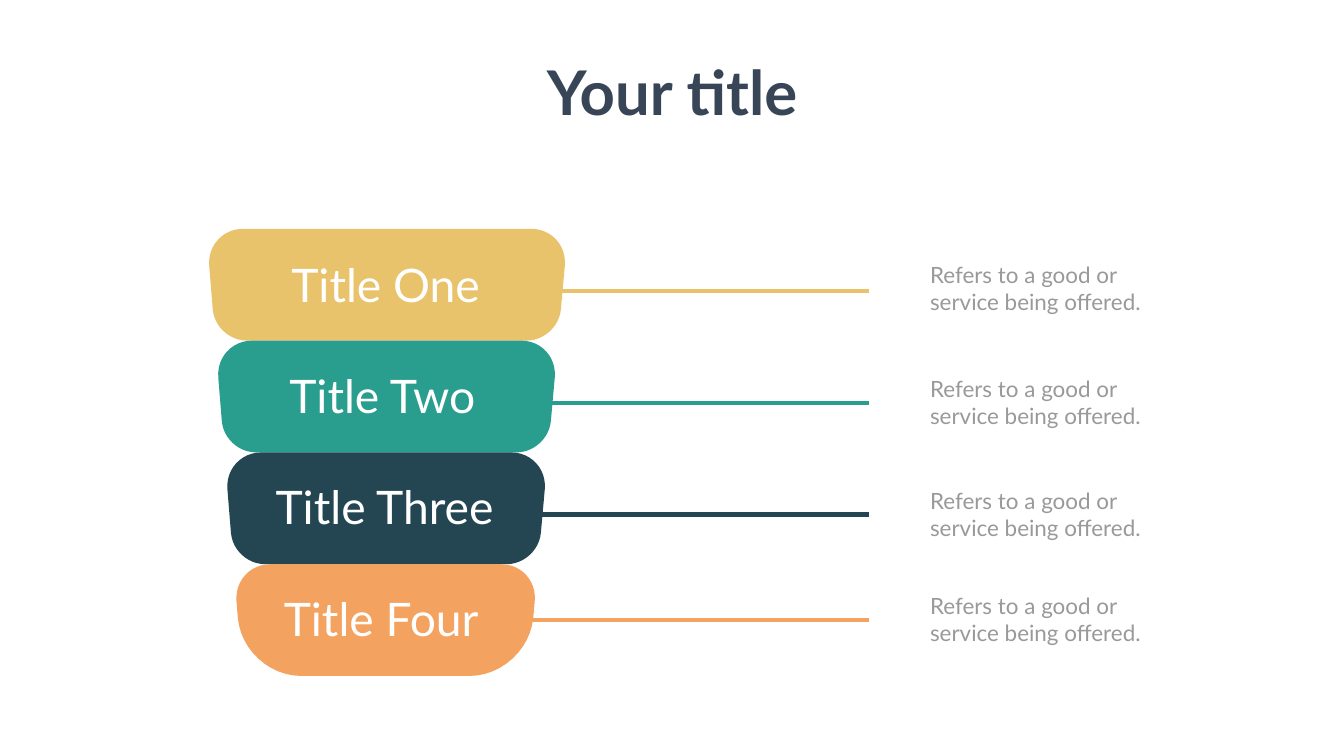
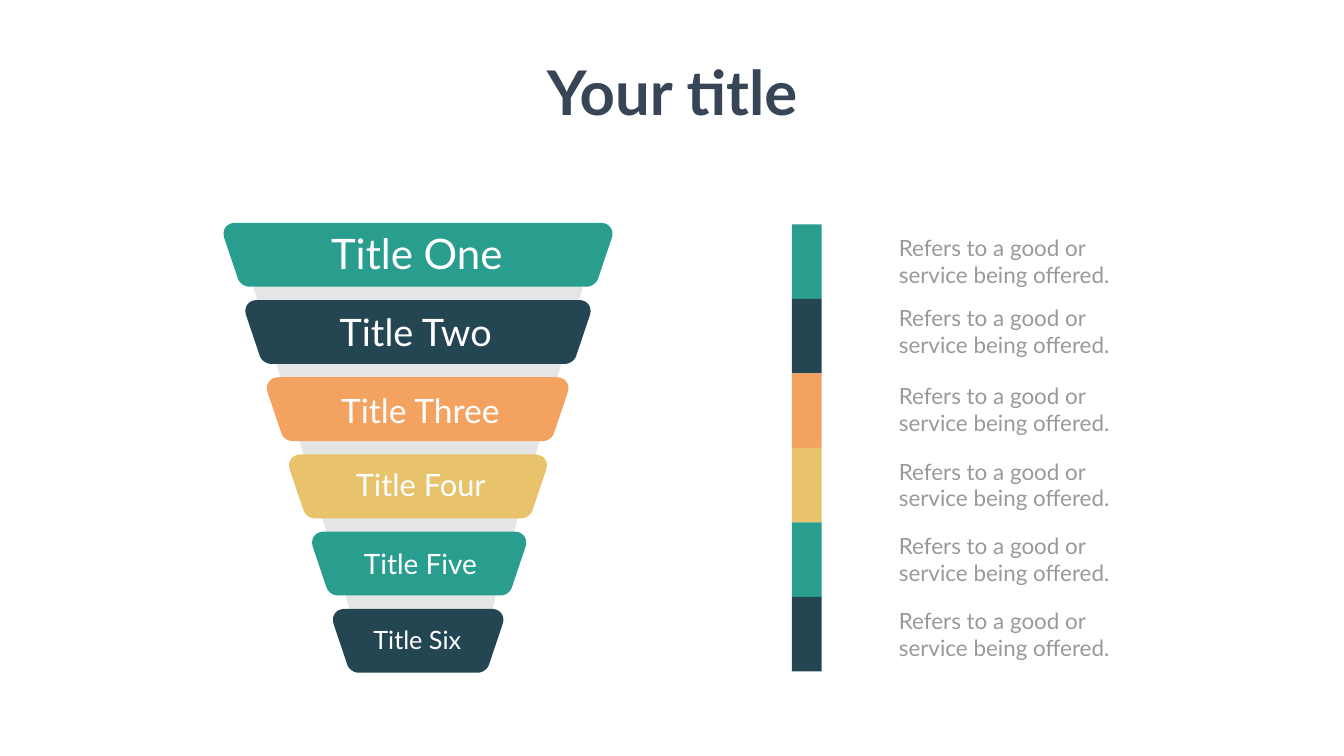
from dataclasses import dataclass
from math import dist

from lxml.etree import SubElement
from pptx import Presentation
from pptx.dml.color import RGBColor as RGB
from pptx.enum.shapes import MSO_CONNECTOR as Connector, MSO_SHAPE as Preset
from pptx.enum.text import MSO_ANCHOR as Anchor, MSO_AUTO_SIZE as AutoSize, PP_ALIGN as Align
from pptx.oxml.ns import qn
from pptx.util import Pt


@dataclass(frozen=True)
class Theme:
    font: str = "Lato"
    page: RGB = RGB(0xFE, 0xFF, 0xFE)
    heading: RGB = RGB(0x37, 0x45, 0x56)
    note: RGB = RGB(0x99, 0x99, 0x99)
    label: RGB = RGB(0xFF, 0xFF, 0xFF)
    shade: RGB = RGB(0x80, 0x80, 0x80)
    gold: RGB = RGB(0xE9, 0xC3, 0x6B)
    teal: RGB = RGB(0x29, 0x9D, 0x8E)
    navy: RGB = RGB(0x24, 0x46, 0x53)
    orange: RGB = RGB(0xF4, 0xA2, 0x60)
    heading_size: int = 88
    label_size: int = 66
    note_size: int = 32


theme = Theme()
NOTE = ("Refers to a good or", "service being offered.")


def draw_block(slide, corners, cuts, color):
    outline = []
    for i, (corner, cut) in enumerate(zip(corners, cuts)):
        ends = []
        for neighbour in (corners[i - 1], corners[(i + 1) % len(corners)]):
            share = cut / dist(corner, neighbour)
            ends.append([c + (n - c) * share for c, n in zip(corner, neighbour)])
        steps = 12 if cut else 0
        for step in range(steps + 1):
            t = step / max(steps, 1)
            u = 1 - t
            outline.append([
                Pt(a * (u**3 + 1.35 * u * u * t) + c * 1.65 * u * t + b * (t**3 + 1.35 * u * t * t))
                for a, c, b in zip(ends[0], corner, ends[1])
            ])
    builder = slide.shapes.build_freeform(*outline[0], scale=1.0)
    builder.add_line_segments(outline[1:], close=True)
    block = builder.convert_to_shape()
    block.shadow.inherit = False
    block.fill.solid()
    block.fill.fore_color.rgb = color
    block.line.fill.background()
    return block


def write(box, lines, place, size, color, bold=False, align=Align.LEFT):
    left, top, width = place
    box.left, box.top, box.width = Pt(left), Pt(top), Pt(width)
    box.height = Pt(len(lines) * size * 1.2 + 7.2)
    frame = box.text_frame
    frame.word_wrap = False
    frame.auto_size = AutoSize.SHAPE_TO_FIT_TEXT
    frame.vertical_anchor = Anchor.TOP
    for i, line in enumerate(lines):
        paragraph = frame.add_paragraph() if i else frame.paragraphs[0]
        paragraph.alignment = align
        run = paragraph.add_run()
        run.text = line
        run.font.name = theme.font
        run.font.size = Pt(size)
        run.font.bold = bold
        run.font.color.rgb = color


prs = Presentation()
prs.slide_width, prs.slide_height = Pt(1919.52), Pt(1080)
prs.slide_master.background.fill.solid()
prs.slide_master.background.fill.fore_color.rgb = theme.page

stack, funnel = [prs.slides.add_slide(prs.slide_layouts[5]) for _ in range(2)]
for slide in (stack, funnel):
    write(slide.shapes.title, ["Your title"], (766.8, 72.7, 385.9),
          theme.heading_size, theme.heading, bold=True, align=Align.CENTER)

layers = [
    ("Title One", theme.gold, (409, 362.9, 288), 415.4, 370.1),
    ("Title Two", theme.teal, (406.1, 520.6, 291.6), 575.3, 532.8),
    ("Title Three", theme.navy, (386.6, 679.7, 333.4), 735.1, 692.6),
    ("Title Four", theme.orange, (398.2, 840.2, 298.8), 885.6, 842.4),
]
layer_height = 159.7
for i, (name, color, label_place, lead_y, note_top) in enumerate(layers):
    lead = stack.shapes.add_connector(
        Connector.STRAIGHT, Pt(1240.6), Pt(lead_y), Pt(717.8), Pt(lead_y))
    lead.line.color.rgb = color
    lead.line.width = Pt(6)
    SubElement(lead._element.spPr, qn("a:effectLst"))

    top = 326.9 + i * layer_height
    bottom = top + layer_height
    left, right = 294.5 + 13 * i, 811.4 - 14.3 * i
    base_cut = 84 if i == len(layers) - 1 else 45
    draw_block(stack, [(left, top), (right, top), (right - 14.3, bottom), (left + 13, bottom)],
               [53, 53, base_cut, base_cut], color)
    write(stack.shapes.add_textbox(0, 0, 0, 0), [name], label_place, theme.label_size, theme.label)
    write(stack.shapes.add_textbox(0, 0, 0, 0), NOTE, (1321.2, note_top, 321.1),
          theme.note_size, theme.note)

cone = draw_block(funnel, [(350.6, 372.2), (843.1, 372.2), (680.4, 950.4), (523.4, 950.4)],
                  [0] * 4, theme.shade)
tint = cone._element.spPr.find(qn("a:solidFill")).find(qn("a:srgbClr"))
SubElement(tint, qn("a:alpha")).set("val", "20000")

stages = [
    ("Title One", theme.teal, 60, (465.8, 321.8, 262.1), 597, 331.2),
    ("Title Two", theme.navy, 54, (478.1, 437, 241.2), 597, 430.6),
    ("Title Three", theme.orange, 48, (480.2, 553.7, 246.2), 596.5, 542.2),
    ("Title Four", theme.gold, 44, (501.1, 662.4, 203.8), 597, 650.2),
    ("Title Five", theme.teal, 40, (512.6, 776.9, 178.6), 598.7, 756.7),
    ("Title Six", theme.navy, 36, (526.3, 888.5, 141.1), 597.2, 863.3),
]
key_height = 106.45
for i, (name, color, size, label_place, center, note_top) in enumerate(stages):
    top = 318.3 + 110.3 * i
    bottom = top + 91.2
    half = 284 - 31.2 * i
    base = half - 30.7
    draw_block(funnel, [(center - half, top), (center + half, top),
                        (center + base, bottom), (center - base, bottom)],
               [23.5, 23.5, 12, 12], color)
    write(funnel.shapes.add_textbox(0, 0, 0, 0), [name], label_place, size, theme.label)

    key = funnel.shapes.add_shape(
        Preset.RECTANGLE, Pt(1131.1), Pt(320.4 + i * key_height), Pt(42.5), Pt(key_height))
    key.shadow.inherit = False
    key.fill.solid()
    key.fill.fore_color.rgb = color
    key.line.fill.background()
    write(funnel.shapes.add_textbox(0, 0, 0, 0), NOTE, (1276.6, note_top, 321.1),
          theme.note_size, theme.note)

prs.save("out.pptx")
